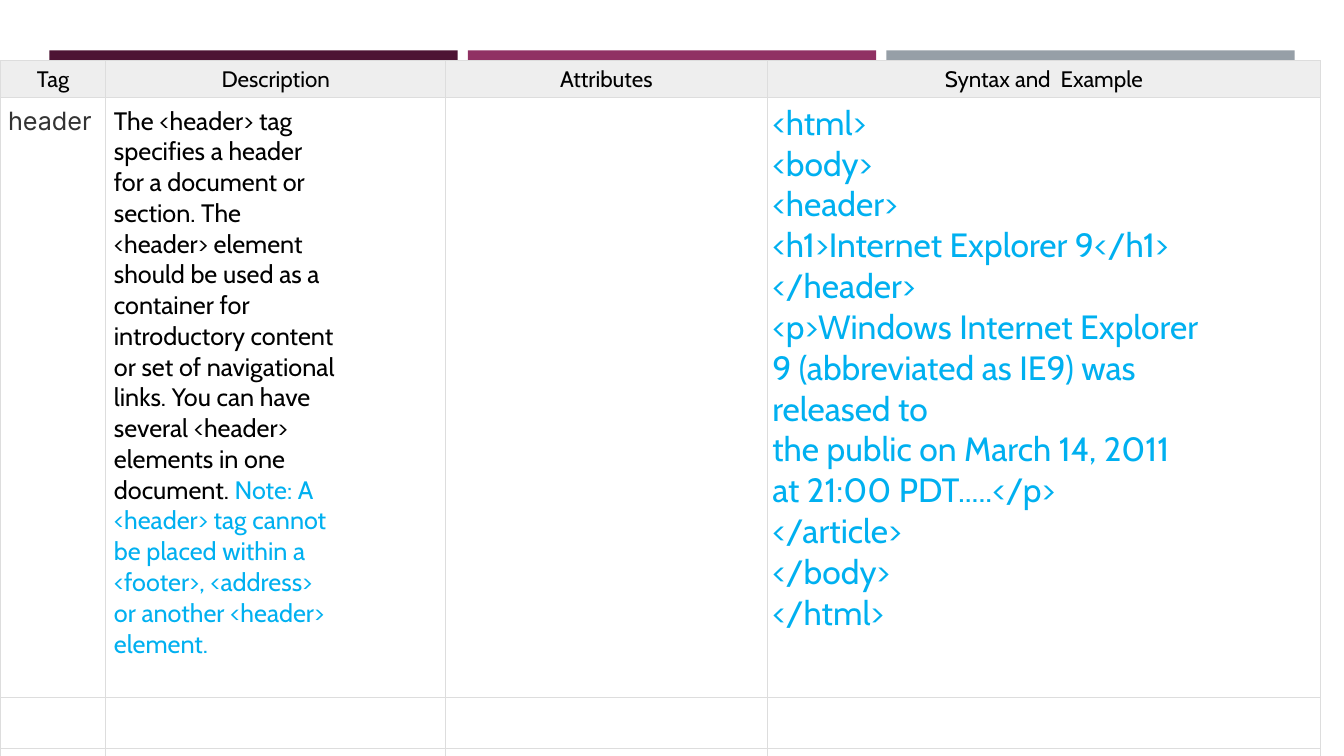
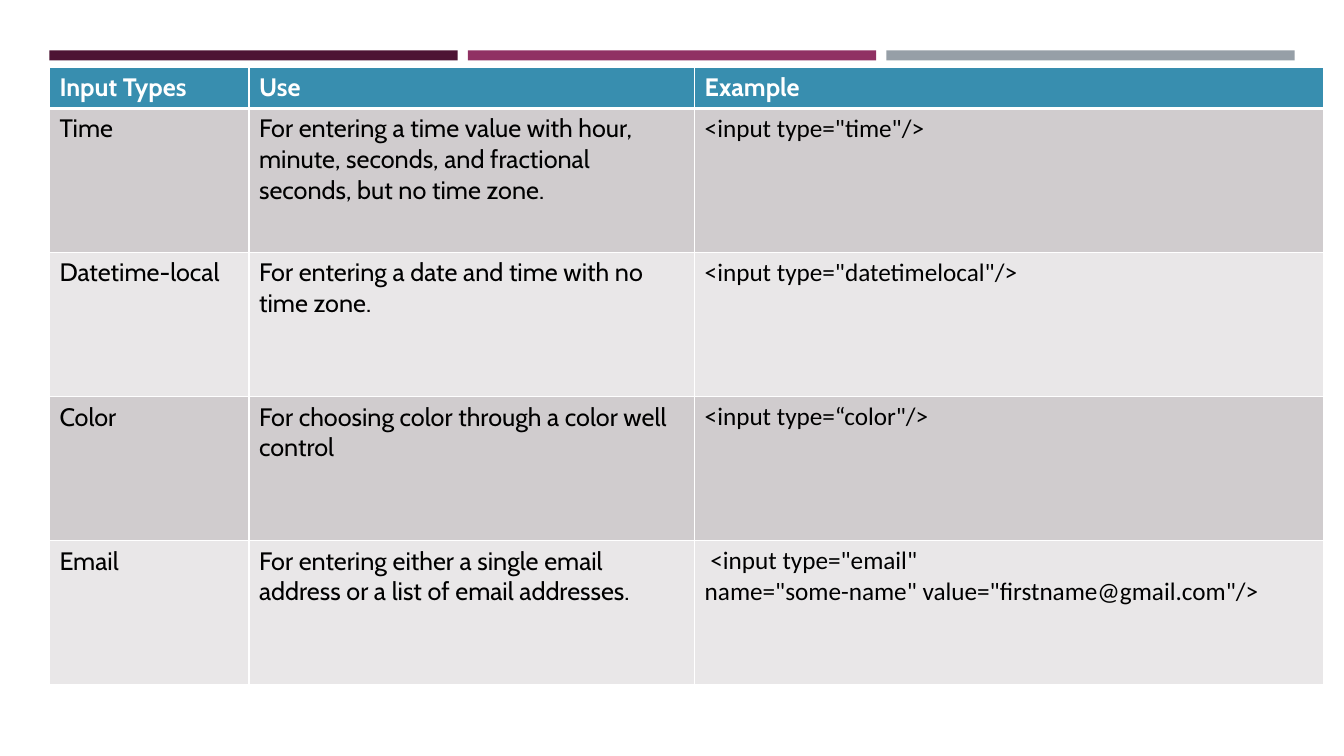
from lxml import etree
from pptx import Presentation
from pptx.dml.color import RGBColor
from pptx.enum.shapes import MSO_SHAPE
from pptx.enum.text import PP_ALIGN
from pptx.oxml.ns import qn
from pptx.util import Inches, Pt

RECTANGLE = MSO_SHAPE.RECTANGLE
LEFT, CENTER, JUSTIFY = PP_ALIGN.LEFT, PP_ALIGN.CENTER, PP_ALIGN.JUSTIFY

PLUM = RGBColor(0x4D, 0x14, 0x34)
MAGENTA = RGBColor(0x90, 0x31, 0x63)
SLATE = RGBColor(0x96, 0x9F, 0xA7)
BLACK = RGBColor(0x00, 0x00, 0x00)
WHITE = RGBColor(0xFF, 0xFF, 0xFF)
CHARCOAL = RGBColor(0x33, 0x33, 0x33)
SKY = RGBColor(0x00, 0xB0, 0xF0)
TEAL = RGBColor(0x38, 0x8E, 0xAF)
GRID_GRAY = RGBColor(0xDD, 0xDD, 0xDD)
HEADING_GRAY = RGBColor(0xEE, 0xEE, 0xEE)
DARK_STRIPE = RGBColor(0xD0, 0xCC, 0xCE)
LIGHT_STRIPE = RGBColor(0xE9, 0xE7, 0xE8)

BODY_FONT, CODE_FONT, TAG_FONT = "Cabin", "Calibri", "Inter"


def write(cell, text, size=18, font=BODY_FONT, color=BLACK, bold=False, align=LEFT):
    """Append text to the cell's last paragraph; each newline starts another."""
    frame = cell.text_frame
    for index, line in enumerate(text.split("\n")):
        para = frame.add_paragraph() if index else frame.paragraphs[-1]
        para.alignment = align
        span = para.add_run()
        span.text = line
        span.font.size = Pt(size)
        span.font.name = font
        span.font.color.rgb = color
        span.font.bold = bold


def add_grid(page, left, top, widths, heights, line_color, line_width, heading_line):
    """Add an unfilled table with lines on every cell; heading_line is under row 0."""
    table = page.shapes.add_table(
        len(heights), len(widths), Inches(left), Inches(top),
        Inches(sum(widths)), Inches(sum(heights))).table
    table.horz_banding = False
    for column, width in zip(table.columns, widths):
        column.width = Inches(width)
    for row_index, (row, height) in enumerate(zip(table.rows, heights)):
        row.height = Inches(height)
        for cell in row.cells:
            cell.fill.background()
            properties = cell._tc.get_or_add_tcPr()
            for position, side in enumerate(("lnL", "lnR", "lnT", "lnB")):
                under_heading = (row_index, side) in ((0, "lnB"), (1, "lnT"))
                width = heading_line if under_heading else line_width
                line = etree.Element(qn(f"a:{side}"), w=str(Pt(width)))
                fill = etree.SubElement(line, qn("a:solidFill"))
                etree.SubElement(fill, qn("a:srgbClr"), val=str(line_color))
                properties.insert(position, line)
    return table


deck = Presentation()
deck.slide_width, deck.slide_height = Inches(13.33), Inches(7.5)
blank = deck.slide_layouts[6]
for placeholder in list(blank.placeholders):
    blank.shapes.element.remove(placeholder.element)

header_page = deck.slides.add_slide(blank)
input_page = deck.slides.add_slide(blank)

# Three bands, kept on the layout so that both pages share them
bands = []
for index, color in enumerate((PLUM, MAGENTA, SLATE)):
    band = header_page.shapes.add_shape(
        RECTANGLE, Inches(0.49 + index * 4.15), Inches(0.5), Inches(4.05), Inches(0.1))
    band.shadow.inherit = False
    band.fill.solid()
    band.fill.fore_color.rgb = color
    band.line.fill.background()
    bands.append(band)
for band in bands:
    blank.shapes.element.append(band.element)

# Header tag
DESCRIPTION = """The <header> tag
specifies a header
for a document or
section. The
<header> element
should be used as a
container for
introductory content
or set of navigational
links. You can have
several <header>
elements in one
document. """

NOTE = """Note: A
<header> tag cannot
be placed within a
<footer>, <address>
or another <header>
element."""

EXAMPLE = """<html>
<body>
<header>
<h1>Internet Explorer 9</h1>
</header>
<p>Windows Internet Explorer
9 (abbreviated as IE9) was
released to
the public on March 14, 2011
at 21:00 PDT.....</p>
</article>
</body>
</html>"""

tag_table = add_grid(
    header_page, 0, 0.6, [1.05, 3.37, 3.19, 5.49],
    [0.37, 5.95, 0.51] + [0.63] * 4, GRID_GRAY, 0.75, heading_line=0.75)
for cell in tag_table.iter_cells():
    cell.margin_left = cell.margin_right = Inches(0.05)
    cell.margin_top = cell.margin_bottom = Inches(0.05)

headings = ("Tag", "Description", "Attributes", "Syntax and  Example")
for cell, heading in zip(tag_table.rows[0].cells, headings):
    cell.fill.solid()
    cell.fill.fore_color.rgb = HEADING_GRAY
    write(cell, heading, size=16, align=CENTER)

tag_cell, description_cell, _, example_cell = tag_table.rows[1].cells
for cell in (tag_cell, description_cell):
    cell.margin_left = cell.margin_right = Inches(0.08)
    cell.margin_top = cell.margin_bottom = Inches(0.08)
write(tag_cell, "header", font=TAG_FONT, color=CHARCOAL, align=JUSTIFY)
write(description_cell, DESCRIPTION)
write(description_cell, NOTE, color=SKY)
write(example_cell, EXAMPLE, size=24, color=SKY)

# Input types
INPUT_TYPES = [
    ("Time",
     "For entering a time value with hour, minute, seconds, "
     "and fractional seconds, but no time zone.",
     '<input type="time"/>'),
    ("Datetime-local",
     "For entering a date and time with no time zone.",
     '<input type="datetimelocal"/>'),
    ("Color",
     "For choosing color through a color well control",
     '<input type=“color"/>'),
    ("Email",
     "For entering either a single email address or a list of email addresses.",
     ' <input type="email"\nname="some-name" value="firstname@gmail.com"/>'),
]

input_table = add_grid(
    input_page, 0.49, 0.67, [1.98, 4.42, 6.24], [0.39] + [1.43] * len(INPUT_TYPES),
    WHITE, 1, heading_line=3)
for row_index, texts in enumerate([("Input Types", "Use", "Example")] + INPUT_TYPES):
    is_heading = row_index == 0
    stripe = DARK_STRIPE if row_index % 2 else LIGHT_STRIPE
    for column_index, text in enumerate(texts):
        cell = input_table.cell(row_index, column_index)
        cell.fill.solid()
        cell.fill.fore_color.rgb = TEAL if is_heading else stripe
        is_code = column_index == 2 and not is_heading
        write(cell, text, font=CODE_FONT if is_code else BODY_FONT,
              color=WHITE if is_heading else BLACK, bold=is_heading)

deck.save("out.pptx")
